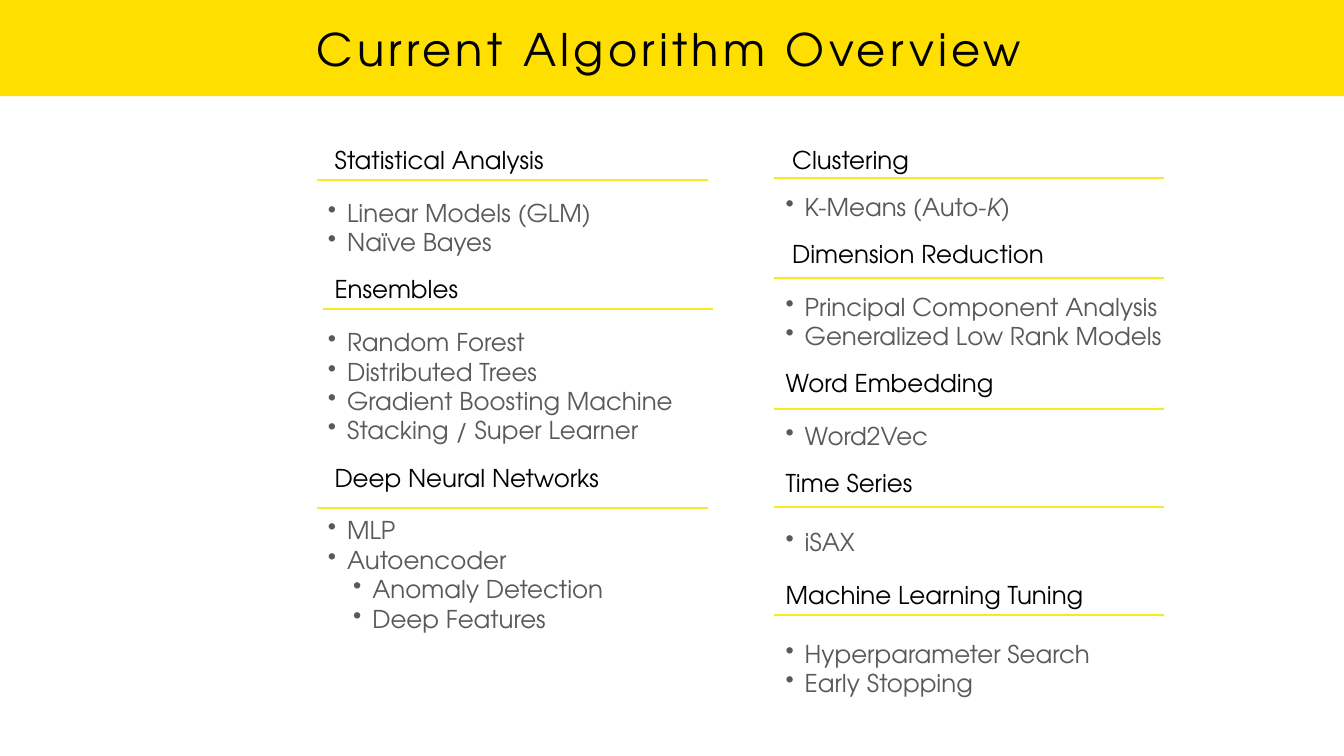
from dataclasses import dataclass

from pptx import Presentation
from pptx.dml.color import RGBColor
from pptx.enum.shapes import MSO_CONNECTOR as Connector, MSO_SHAPE as Shape
from pptx.enum.text import MSO_ANCHOR as Anchor, PP_ALIGN as Align
from pptx.oxml.ns import qn
from pptx.util import Inches, Pt
from lxml.etree import SubElement

FONT = "TeX Gyre Adventor"
BLACK, GREY, YELLOW, RULE = "000000", "595959", "FFDF00", "FBE91F"
SIZE = 35
TIGHT = 0.8
FULL_GAP = SIZE * 1.2
TIGHT_GAP = FULL_GAP * TIGHT
HANG = 0.38
TITLE_INDENT = 0.13
RULE_WIDTH = 7.74


@dataclass
class Item:
    text: str  # words between asterisks are italic
    level: int = 0
    spacing: float = 1.0


@dataclass
class Section:
    title: str
    items: list[Item]
    rule_x: float
    rule_y: float
    indent: float = 0
    gap_above: float = TIGHT_GAP
    gap_below: float = TIGHT_GAP


@dataclass
class Column:
    left: float
    width: float
    sections: list[Section]


COLUMNS = [
    Column(6.41, 8.23, [
        Section("Statistical Analysis", [Item("Linear Models (GLM)"), Item("Naïve Bayes")],
                6.3, 3.58, TITLE_INDENT),
        Section("Ensembles", [Item("Random Forest"), Item("Distributed Trees"),
                              Item("Gradient Boosting Machine"), Item("Stacking / Super Learner")],
                6.41, 6.13, TITLE_INDENT),
        Section("Deep Neural Networks", [Item("MLP"), Item("Autoencoder"),
                                         Item("Anomaly Detection", 1), Item("Deep Features", 1)],
                6.3, 10.08, TITLE_INDENT),
    ]),
    Column(15.49, 11.17, [
        Section("Clustering", [Item("K-Means (Auto-*K*)", spacing=TIGHT)],
                15.36, 3.54, TITLE_INDENT),
        Section("Dimension Reduction", [Item("Principal Component Analysis"),
                                        Item("Generalized Low Rank Models")],
                15.36, 5.52, TITLE_INDENT),
        Section("Word Embedding", [Item("Word2Vec")], 15.36, 8.11),
        Section("Time Series", [Item("iSAX")], 15.36, 10.06, gap_below=FULL_GAP),
        Section("Machine Learning Tuning", [Item("Hyperparameter Search"), Item("Early Stopping")],
                15.36, 12.21, gap_above=FULL_GAP, gap_below=FULL_GAP),
    ]),
]


def rgb(color: str) -> RGBColor:
    return RGBColor.from_string(color)


def add_box(s, x: float, y: float, w: float, h: float):
    tf = s.shapes.add_textbox(Inches(x), Inches(y), Inches(w), Inches(h)).text_frame
    tf.word_wrap = True
    tf.margin_left = tf.margin_right = tf.margin_top = tf.margin_bottom = Inches(0.1)
    return tf


def add_run(p, text: str, *, size: float = SIZE, color: str = BLACK,
            italic: bool = False, tracking: float = 0) -> None:
    r = p.add_run()
    r.text = text
    r.font.name, r.font.size, r.font.italic = FONT, Pt(size), italic
    r.font.color.rgb = rgb(color)
    if tracking:
        r.font._element.set("spc", str(round(tracking * 100)))


def add_paragraph(tf, text: str, *, color: str = BLACK, spacing: float = 1.0, before: float = 0,
                  indent: float = 0, bullet: bool = False, level: int = 0) -> None:
    first = tf.paragraphs[0]
    is_first = not first.runs
    p = first if is_first else tf.add_paragraph()
    p.level = level
    pPr = p._p.get_or_add_pPr()
    pPr.set("marL", str(Inches(indent)))
    pPr.set("indent", str(Inches(-HANG if bullet else 0)))
    if bullet:
        SubElement(SubElement(pPr, qn("a:buClr")), qn("a:srgbClr"), val=color)
        SubElement(pPr, qn("a:buChar"), char="•")
    p.line_spacing = spacing
    p.space_before = Pt(0 if is_first else round(before, 1))
    for i, part in enumerate(text.split("*")):
        add_run(p, part, color=color, italic=i % 2 == 1)


def add_rule(s, x: float, y: float) -> None:
    line = s.shapes.add_connector(Connector.STRAIGHT, Inches(x), Inches(y),
                                  Inches(x + RULE_WIDTH), Inches(y))
    line.line.color.rgb = rgb(RULE)
    line.line.width = Pt(3)
    SubElement(line._element.spPr, qn("a:effectLst"))


def add_header(s, text: str) -> None:
    band = s.shapes.add_shape(Shape.RECTANGLE, Inches(-0.01), 0, Inches(26.69), Inches(1.91))
    band.shadow.inherit = False
    band.fill.solid()
    band.fill.fore_color.rgb = rgb(YELLOW)
    band.line.fill.background()
    tf = add_box(s, 0.6, -0.01, 25.36, 1.93)
    tf.vertical_anchor = Anchor.MIDDLE
    p = tf.paragraphs[0]
    p.alignment = Align.CENTER
    add_run(p, text, size=64, tracking=6)


def add_column(s, column: Column) -> None:
    tf = add_box(s, column.left, 2.89, column.width, 12.75)
    for section in column.sections:
        add_paragraph(tf, section.title, spacing=TIGHT, before=section.gap_above,
                      indent=section.indent)
        for i, item in enumerate(section.items):
            add_paragraph(tf, item.text, color=GREY, spacing=item.spacing,
                          before=0 if i else section.gap_below,
                          indent=HANG + 0.5 * item.level, bullet=True, level=item.level)


def main() -> None:
    prs = Presentation()
    prs.slide_width, prs.slide_height = Inches(26.67), Inches(15)
    s = prs.slides.add_slide(prs.slide_layouts[6])
    add_header(s, "Current Algorithm Overview")
    for column in COLUMNS:
        add_column(s, column)
    for column in COLUMNS:
        for section in column.sections:
            add_rule(s, section.rule_x, section.rule_y)
    prs.save("out.pptx")


if __name__ == "__main__":
    main()
